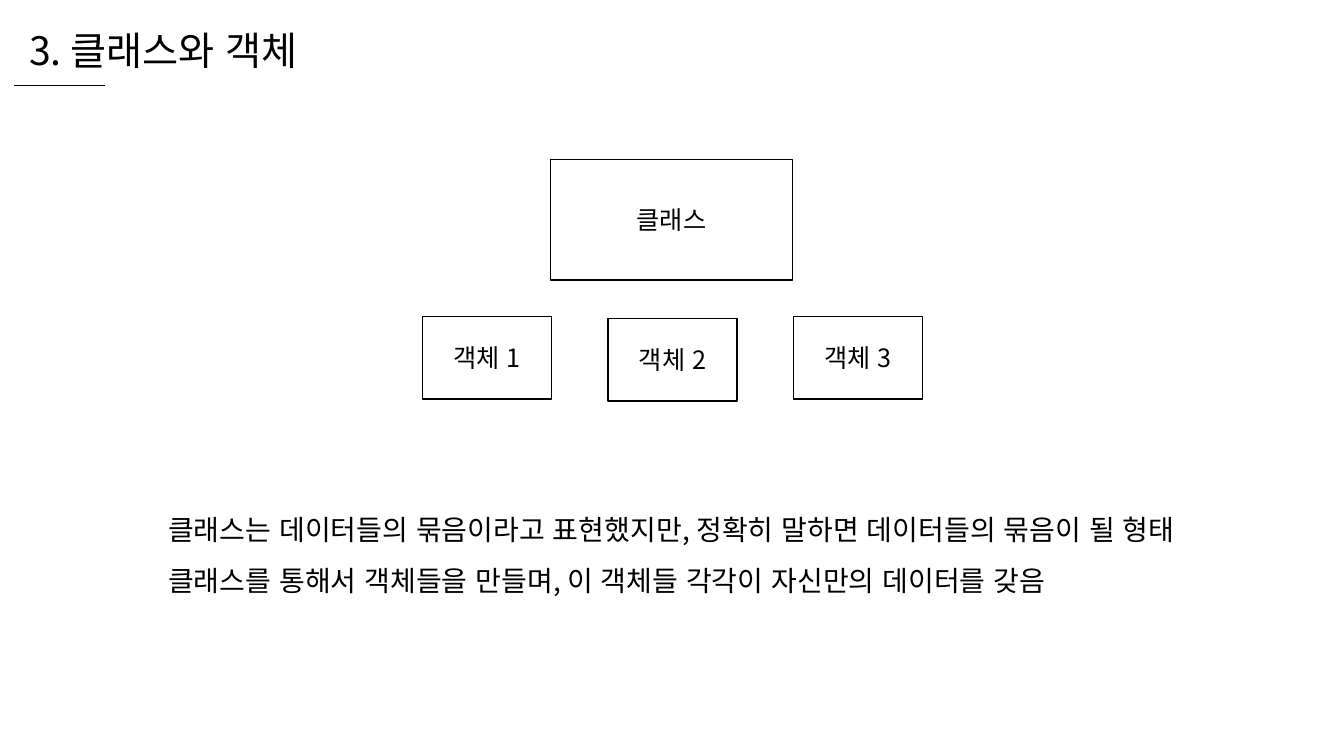
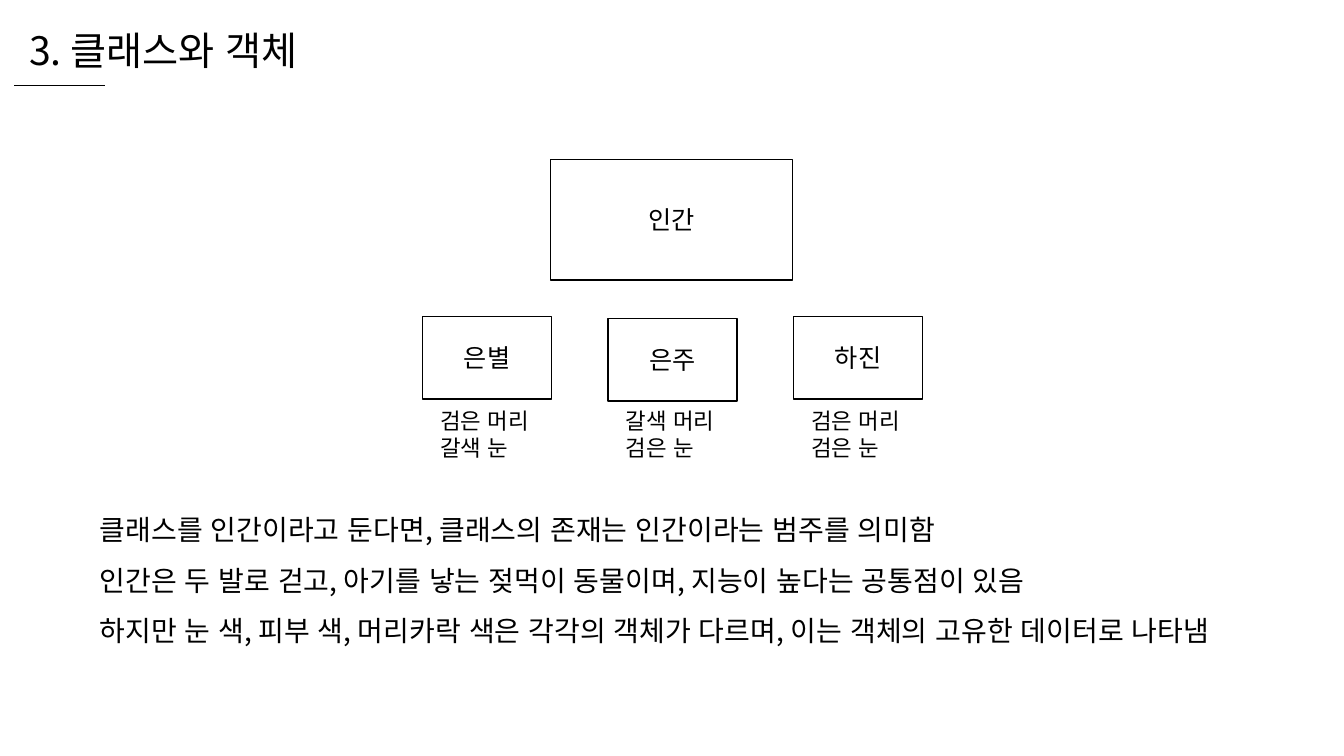
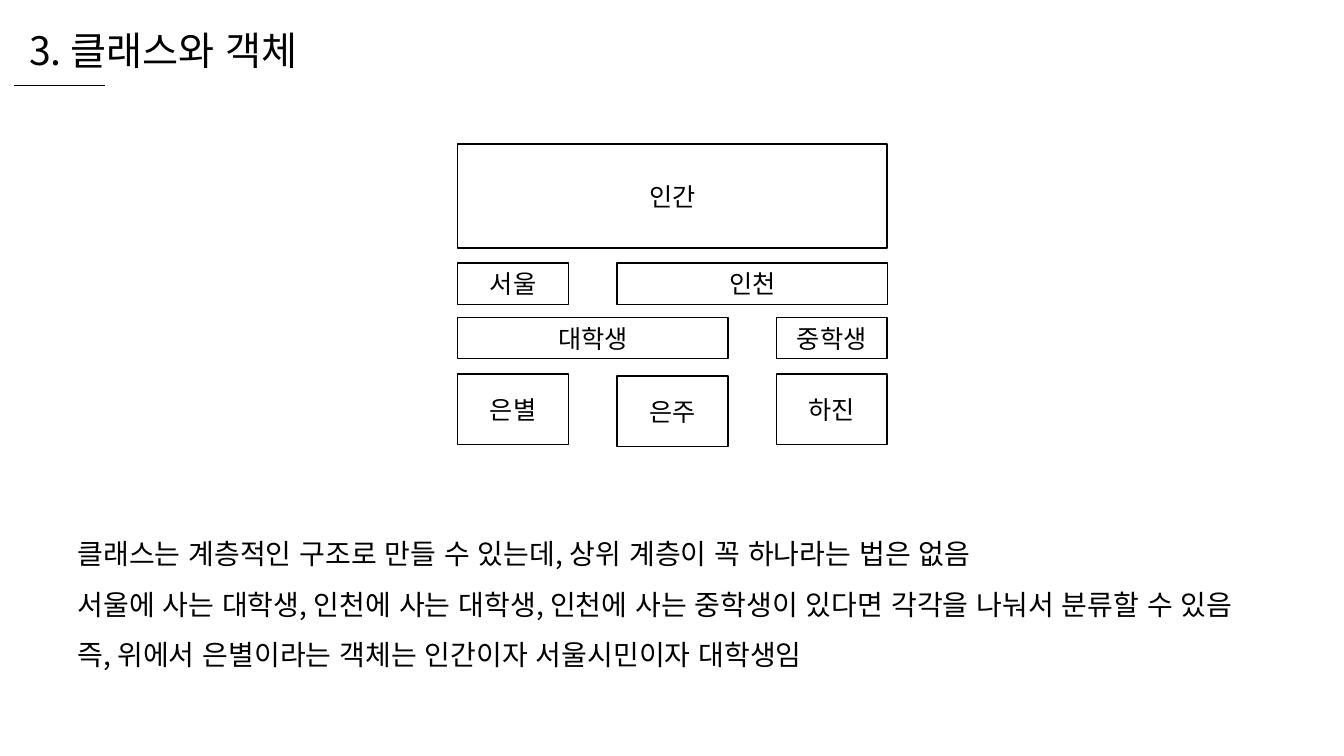
from dataclasses import dataclass

from lxml import etree
from pptx import Presentation
from pptx.dml.color import RGBColor
from pptx.enum.lang import MSO_LANGUAGE_ID
from pptx.enum.shapes import MSO_CONNECTOR, MSO_SHAPE
from pptx.enum.text import MSO_ANCHOR, MSO_AUTO_SIZE, PP_ALIGN
from pptx.oxml.ns import qn
from pptx.util import Inches, Pt

KOREAN = MSO_LANGUAGE_ID.KOREAN
STRAIGHT = MSO_CONNECTOR.STRAIGHT
RECTANGLE = MSO_SHAPE.RECTANGLE
MIDDLE = MSO_ANCHOR.MIDDLE
GROW = MSO_AUTO_SIZE.SHAPE_TO_FIT_TEXT
LEFT, CENTER = PP_ALIGN.LEFT, PP_ALIGN.CENTER


@dataclass(frozen=True)
class Theme:
    font: str = "Noto Sans CJK KR"
    ink: RGBColor = RGBColor(0, 0, 0)
    paper: RGBColor = RGBColor(255, 255, 255)
    title: int = 28
    body: int = 20
    label: int = 18
    note: int = 16
    outline: float = 1
    rule: float = 0.5


@dataclass(frozen=True)
class Columns:
    """Equal columns; a box may span several of them."""
    left: float
    width: float
    step: float

    def start(self, index):
        return self.left + index * self.step

    def span(self, count):
        return self.width + (count - 1) * self.step


THEME = Theme()
TITLE = "3. 클래스와 객체"
MIDDLE_DROP = 0.02
OBJECTS = Columns(left=4.19, width=1.28, step=1.84)
LAYERS = Columns(left=4.54, width=1.1, step=1.58)


def write(frame, text, *, size, align=LEFT, spacing=None):
    """Fill a text frame, one paragraph for each line of text."""
    frame.word_wrap = True
    for index, line in enumerate(text.split("\n")):
        para = frame.add_paragraph() if index else frame.paragraphs[0]
        para.alignment = align
        para.line_spacing = spacing
        span = para.add_run()
        span.text = line
        font = span.font
        font.name = THEME.font
        font.size = Pt(size)
        font.language_id = KOREAN
        font.color.rgb = THEME.ink
        east_asian = etree.SubElement(span._r.get_or_add_rPr(), qn("a:ea"))
        east_asian.set("typeface", THEME.font)


def add_text(page, text, left, top, width, height, **style):
    box = page.shapes.add_textbox(Inches(left), Inches(top), Inches(width), Inches(height))
    box.text_frame.auto_size = GROW
    write(box.text_frame, text, **style)


def add_box(shapes, text, left, top, width, height):
    box = shapes.add_shape(RECTANGLE, Inches(left), Inches(top), Inches(width), Inches(height))
    box.shadow.inherit = False
    box.fill.solid()
    box.fill.fore_color.rgb = THEME.paper
    box.line.color.rgb = THEME.ink
    box.line.width = Pt(THEME.outline)
    box.text_frame.vertical_anchor = MIDDLE
    write(box.text_frame, text, size=THEME.label, align=CENTER)


def add_object_row(shapes, names, columns, top, height):
    """Draw one box per column, with the middle one slightly lower."""
    for index, name in enumerate(names):
        drop = MIDDLE_DROP if index == 1 else 0
        add_box(shapes, name, columns.start(index), top + drop, columns.width, height)


def add_rule(page, left, top, width):
    rule = page.shapes.add_connector(
        STRAIGHT, Inches(left), Inches(top), Inches(left + width), Inches(top))
    rule.line.color.rgb = THEME.ink
    rule.line.width = Pt(THEME.rule)
    etree.SubElement(rule._element.spPr, qn("a:effectLst"))


def add_page(deck, body, left, top, width, height):
    """Start a page with the shared title, its rule and the body text."""
    page = deck.slides.add_slide(deck.slide_layouts[6])
    add_text(page, TITLE, 0.19, 0.21, 3.11, 0.57, size=THEME.title)
    add_rule(page, 0.14, 0.85, 0.9)
    add_text(page, body, left, top, width, height, size=THEME.body, spacing=1.5)
    return page


def add_class_diagram(page, class_name, object_names):
    add_box(page.shapes, class_name, 5.46, 1.58, 2.4, 1.2)
    add_object_row(page.shapes, object_names, OBJECTS, 3.14, 0.82)


def add_layer_diagram(page):
    shapes = page.shapes.add_group_shape().shapes
    layers = [
        ("인간", 0, 3, 1.43, 1.03),
        ("서울", 0, 1, 2.61, 0.41),
        ("인천", 1, 2, 2.61, 0.41),
        ("대학생", 0, 2, 3.15, 0.41),
        ("중학생", 2, 1, 3.15, 0.41),
    ]
    for name, column, count, top, height in layers:
        add_box(shapes, name, LAYERS.start(column), top, LAYERS.span(count), height)
    add_object_row(shapes, ["은별", "은주", "하진"], LAYERS, 3.71, 0.7)


def build_concept(deck):
    body = (
        "클래스는 데이터들의 묶음이라고 표현했지만, 정확히 말하면 데이터들의 묶음이 될 형태\n"
        "클래스를 통해서 객체들을 만들며, 이 객체들 각각이 자신만의 데이터를 갖음"
    )
    page = add_page(deck, body, 1.57, 4.87, 10.46, 1.05)
    add_class_diagram(page, "클래스", ["객체 1", "객체 2", "객체 3"])


def build_example(deck):
    body = (
        "클래스를 인간이라고 둔다면, 클래스의 존재는 인간이라는 범주를 의미함\n"
        "인간은 두 발로 걷고, 아기를 낳는 젖먹이 동물이며, 지능이 높다는 공통점이 있음\n"
        "하지만 눈 색, 피부 색, 머리카락 색은 각각의 객체가 다르며, "
        "이는 객체의 고유한 데이터로 나타냄"
    )
    page = add_page(deck, body, 0.89, 4.87, 11.55, 1.56)
    add_class_diagram(page, "인간", ["은별", "은주", "하진"])
    traits = ["검은 머리\n갈색 눈", "갈색 머리\n검은 눈", "검은 머리\n검은 눈"]
    for index, trait in enumerate(traits):
        add_text(page, trait, OBJECTS.start(index) + 0.08, 3.99, 1.11, 0.64, size=THEME.note)


def build_hierarchy(deck):
    body = (
        "클래스는 계층적인 구조로 만들 수 있는데, 상위 계층이 꼭 하나라는 법은 없음\n"
        "서울에 사는 대학생, 인천에 사는 대학생, 인천에 사는 중학생이 있다면 "
        "각각을 나눠서 분류할 수 있음\n"
        "즉, 위에서 은별이라는 객체는 인간이자 서울시민이자 대학생임"
    )
    page = add_page(deck, body, 0.67, 5.11, 11.99, 1.56)
    add_layer_diagram(page)


def main():
    deck = Presentation()
    deck.slide_width, deck.slide_height = Inches(13.33), Inches(7.5)
    build_concept(deck)
    build_example(deck)
    build_hierarchy(deck)
    deck.save("out.pptx")


if __name__ == "__main__":
    main()
